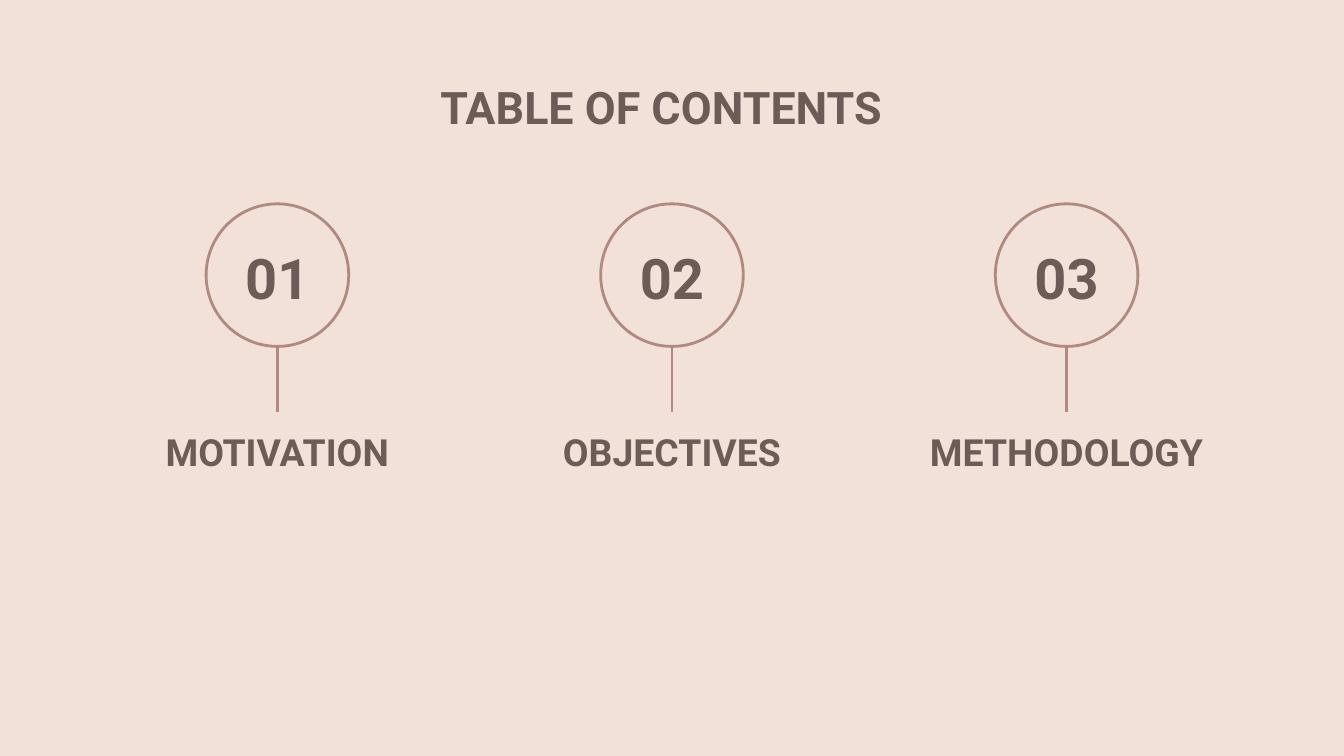
from lxml import etree
from pptx import Presentation
from pptx.dml.color import RGBColor
from pptx.enum import shapes, text
from pptx.oxml import ns
from pptx.util import Pt

SAND = RGBColor(0xF2, 0xE1, 0xD8)
BROWN = RGBColor(0x6D, 0x5B, 0x57)
ROSE = RGBColor(0xB0, 0x89, 0x80)


class Deck:
    font = "Roboto"
    inset = 7.2
    weight = 1.5

    def __init__(self, wide, high):
        self.show = Presentation()
        self.show.slide_width = Pt(wide)
        self.show.slide_height = Pt(high)
        self.slide = self.show.slides.add_slide(self.show.slide_layouts[6])
        fill = self.slide.background.fill
        fill.solid()
        fill.fore_color.rgb = SAND

    def label(self, words, left, top, wide, high, size,
              anchor=text.MSO_ANCHOR.MIDDLE, right=inset):
        box = self.slide.shapes.add_textbox(Pt(left), Pt(top), Pt(wide), Pt(high))
        frame = box.text_frame
        frame.word_wrap = True
        frame.vertical_anchor = anchor
        frame.margin_left = frame.margin_top = frame.margin_bottom = Pt(self.inset)
        frame.margin_right = Pt(right)
        frame.text = words
        para = frame.paragraphs[0]
        para.alignment = text.PP_ALIGN.CENTER
        font = para.runs[0].font
        font.name = self.font
        font.size = Pt(size)
        font.bold = True
        font.color.rgb = BROWN

    def stroke(self, line):
        line.color.rgb = ROSE
        line.width = Pt(self.weight)

    def ring(self, mid, top, size):
        ring = self.slide.shapes.add_shape(
            shapes.MSO_SHAPE.OVAL, Pt(mid - size / 2), Pt(top), Pt(size), Pt(size))
        ring.shadow.inherit = False
        ring.fill.background()
        self.stroke(ring.line)

    def stem(self, mid, top, base):
        stem = self.slide.shapes.add_connector(
            shapes.MSO_CONNECTOR.STRAIGHT, Pt(mid), Pt(top), Pt(mid), Pt(base))
        self.stroke(stem.line)
        etree.SubElement(stem._element.spPr, ns.qn("a:effectLst"))


def main():
    wide, high = 720, 405
    gap, span = 211.4, 184.3
    top, size, base = 109.2, 76.4, 221
    deck = Deck(wide, high)
    deck.label("TABLE OF CONTENTS", 56.9, 35.3, 607, 45.4, 24,
               text.MSO_ANCHOR.TOP, right=19.6)
    for i, name in enumerate(("MOTIVATION", "OBJECTIVES", "METHODOLOGY")):
        mid = wide / 2 + (i - 1) * gap
        left = mid - span / 2
        deck.label(name, left, base, span, 41.8, 20)
        deck.ring(mid, top, size)
        deck.stem(mid, top + size, base)
        deck.label(f"{i + 1:02}", left, 125.3, span, 46.8, 30)
    deck.show.save("out.pptx")


if __name__ == "__main__":
    main()
